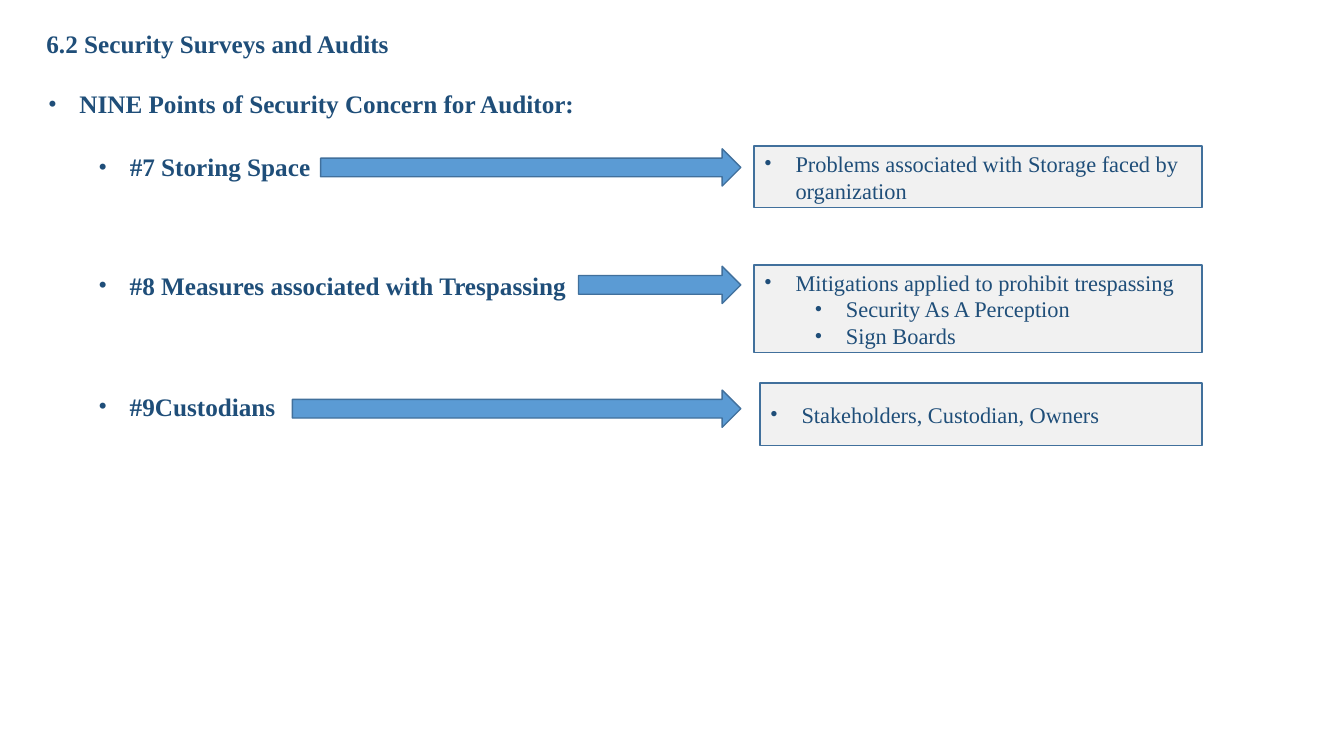
"""Build the slide on security surveys and audits."""
from dataclasses import dataclass

from lxml.etree import SubElement
from pptx import Presentation
from pptx.dml.color import RGBColor
from pptx.enum.shapes import MSO_SHAPE
from pptx.enum.text import MSO_ANCHOR, MSO_AUTO_SIZE, PP_ALIGN
from pptx.oxml.ns import qn
from pptx.util import Cm, Pt

TITLE = "6.2 Security Surveys and Audits"
OUTLINE = [
    (0, "NINE Points of Security Concern for Auditor:"),
    (1, "#7 Storing Space"),
]
LATER_POINTS = [
    {"text": "#8 Measures associated with Trespassing", "top": 6.73},
    {"text": "#9Custodians", "top": 9.78},
]
DETAILS = [
    {"left": 19, "top": 3.68, "height": 1.55, "arrow_left": 8.08, "arrow_top": 3.75,
     "lines": [(0, "Problems associated with Storage faced by organization")]},
    {"left": 19, "top": 6.68, "height": 2.21, "arrow_left": 14.58, "arrow_top": 6.71,
     "lines": [(0, "Mitigations applied to prohibit trespassing"),
               (1, "Security As A Perception"),
               (1, "Sign Boards")]},
    {"left": 19.15, "top": 9.65, "height": 1.57, "arrow_left": 7.37, "arrow_top": 9.83,
     "lines": [(0, "Stakeholders, Custodian, Owners")]},
]
MARGIN = 1.17
LEVEL_STEP = 1.27
POINT_INDENT = 0.83
DETAIL_INDENT = 1.05
HANGING = 0.79
DETAIL_RIGHT = 30.29
ARROW_RIGHT = 18.67
ARROW_HEIGHT = 0.94


@dataclass(frozen=True)
class Theme:
    font: str = "Times New Roman"
    text: RGBColor = RGBColor(0x1F, 0x4E, 0x79)
    panel: RGBColor = RGBColor(0xF1, 0xF1, 0xF1)
    arrow: RGBColor = RGBColor(0x5B, 0x9B, 0xD4)
    outline: RGBColor = RGBColor(0x41, 0x70, 0x9C)
    heading_size: Pt = Pt(18)
    detail_size: Pt = Pt(16)
    line_width: Pt = Pt(0.96)
    outline_gap: Pt = Pt(23.5)


THEME = Theme()


def place(shape, left, top, width, height):
    shape.left, shape.top = Cm(left), Cm(top)
    shape.width, shape.height = Cm(width), Cm(height)


def prepare_frame(frame, anchor=MSO_ANCHOR.TOP, top_inset=0.07):
    frame.word_wrap = True
    frame.auto_size = MSO_AUTO_SIZE.NONE
    frame.vertical_anchor = anchor
    frame.margin_left = frame.margin_right = frame.margin_bottom = 0
    frame.margin_top = Cm(top_inset)


def format_paragraph(para, size, bold):
    para.alignment = PP_ALIGN.LEFT
    para.space_before = Pt(0)
    for span in para.runs:
        span.font.name = THEME.font
        span.font.size = size
        span.font.bold = bold
        span.font.color.rgb = THEME.text


def add_bullet(para, indent):
    properties = para._p.get_or_add_pPr()
    properties.set("marL", str(Cm(indent)))
    properties.set("indent", str(-Cm(HANGING)))
    SubElement(properties, qn("a:buFont")).set("typeface", THEME.font)
    SubElement(properties, qn("a:buChar")).set("char", "•")


def fill_list(frame, lines, indent, size, bold, gap=Pt(0)):
    frame.text = "\n".join(text for _, text in lines)
    for index, (para, (level, _)) in enumerate(zip(frame.paragraphs, lines)):
        para.level = level
        format_paragraph(para, size, bold)
        if index:
            para.space_before = gap
        add_bullet(para, indent + level * LEVEL_STEP)


def add_filled_shape(page, kind, color, left, top, width, height):
    shape = page.shapes.add_shape(kind, Cm(left), Cm(top), Cm(width), Cm(height))
    shape.shadow.inherit = False
    shape.fill.solid()
    shape.fill.fore_color.rgb = color
    shape.line.color.rgb = THEME.outline
    shape.line.width = THEME.line_width
    return shape


def add_headings(page):
    title, body = page.shapes.title, page.placeholders[1]
    place(title, MARGIN, 0.64, 9.5, 0.84)
    prepare_frame(title.text_frame)
    title.text_frame.text = TITLE
    format_paragraph(title.text_frame.paragraphs[0], THEME.heading_size, True)

    place(body, MARGIN, 2.16, 13.34, 2.36)
    prepare_frame(body.text_frame)
    fill_list(body.text_frame, OUTLINE, POINT_INDENT, THEME.heading_size, True,
              THEME.outline_gap)

    for point in LATER_POINTS:
        box = page.shapes.add_textbox(
            Cm(MARGIN + LEVEL_STEP), Cm(point["top"]), Cm(12), Cm(0.84))
        prepare_frame(box.text_frame)
        fill_list(box.text_frame, [(0, point["text"])], POINT_INDENT,
                  THEME.heading_size, True)


def add_detail(page, detail):
    panel = add_filled_shape(
        page, MSO_SHAPE.RECTANGLE, THEME.panel, detail["left"], detail["top"],
        DETAIL_RIGHT - detail["left"], detail["height"])
    prepare_frame(panel.text_frame, MSO_ANCHOR.MIDDLE, 0)
    fill_list(panel.text_frame, detail["lines"], DETAIL_INDENT,
              THEME.detail_size, False)
    add_filled_shape(
        page, MSO_SHAPE.RIGHT_ARROW, THEME.arrow, detail["arrow_left"],
        detail["arrow_top"], ARROW_RIGHT - detail["arrow_left"], ARROW_HEIGHT)


def main():
    deck = Presentation()
    deck.slide_width, deck.slide_height = Cm(33.87), Cm(19.05)
    page = deck.slides.add_slide(deck.slide_layouts[1])
    add_headings(page)
    for detail in DETAILS:
        add_detail(page, detail)
    deck.save("out.pptx")


if __name__ == "__main__":
    main()
